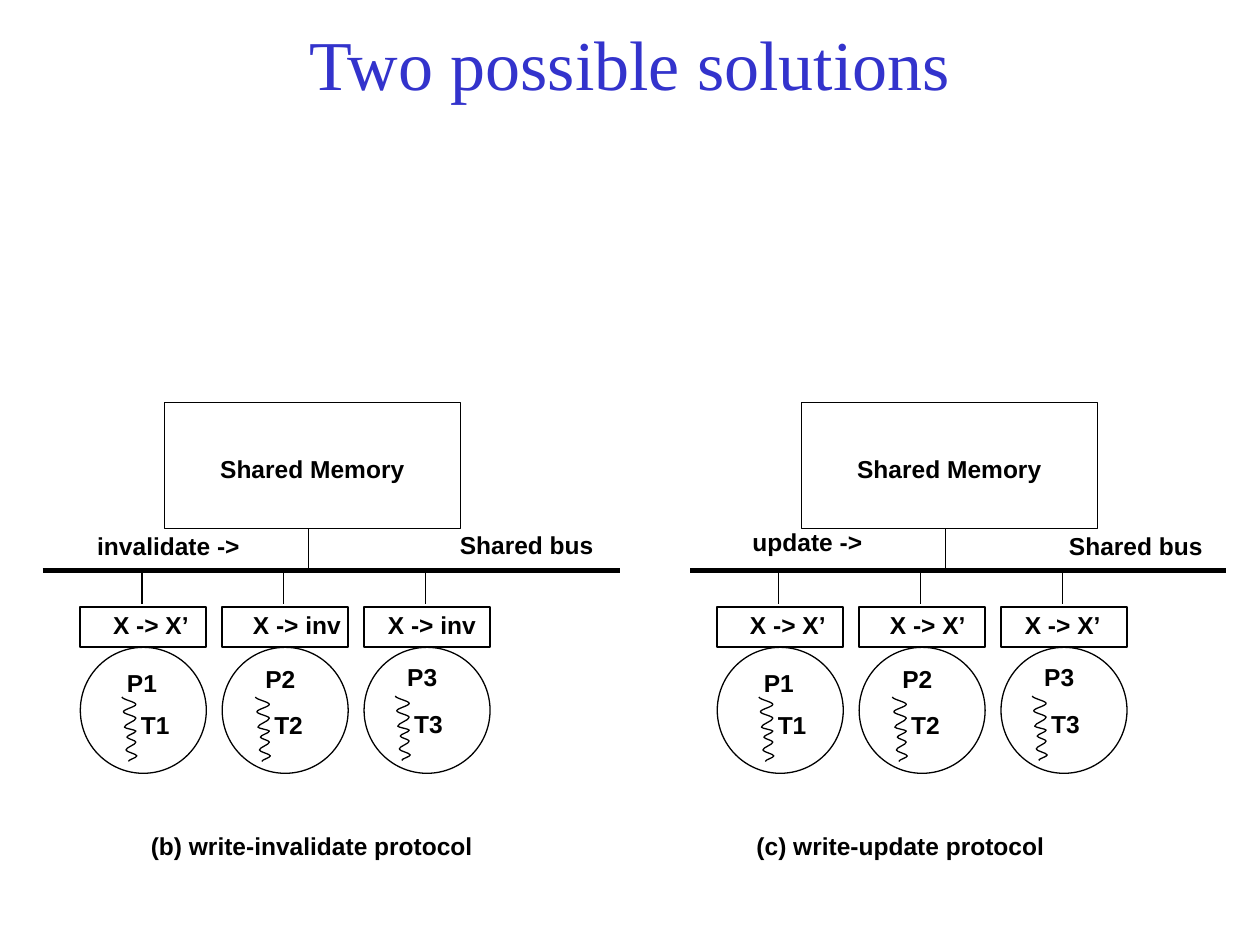
import pptx
import pptx.util
import pptx.dml.color
import pptx.enum.shapes
import pptx.enum.text
import pptx.oxml.ns
import lxml.etree

Cm, Pt = pptx.util.Cm, pptx.util.Pt
qn = pptx.oxml.ns.qn
SHAPE = pptx.enum.shapes.MSO_SHAPE
BLACK, TITLE_BLUE = "000000", "3333CC"
LABEL = {"name": "Arial", "size": Pt(14), "bold": True}
TITLE = {"name": "Times New Roman", "size": Pt(40), "bold": False}

CACHE_W, CACHE_H, PITCH = 2.54, 0.81, 2.86
BUS_Y = 3.39
# Turning points of a thread, as offsets from its start.
THREAD = [(0, 0), (0.28, 0.15), (0.03, 0.3), (0.28, 0.43), (0.05, 0.61), (0.28, 0.69),
          (0.1, 0.81), (0.28, 0.91), (0.08, 1.07), (0.3, 1.19), (0.13, 1.3)]

# Offsets of the labels inside each processor: cache x, name x and y, thread label x and y.
PROCESSORS = [
    (0.41, 0.69, 5.23, 0.97, 6.07),
    (0.37, 0.62, 5.16, 0.8, 6.07),
    (0.23, 0.62, 5.11, 0.76, 6.05),
]

# Labels are (text, x, y, width); caches are (text, width); bus is (x, width).
PANELS = [
    {"left": 1.62, "top": 8.11, "bus": (-0.76, 11.63),
     "caches": [("X -> X’", 2.18), ("X -> inv", 2.57), ("X -> inv", 2.84)],
     "labels": [("Shared bus", 7.4, 2.44, 3.48), ("invalidate ->", 0.09, 2.47, 3.66),
                ("(b) write-invalidate protocol", 1.17, 8.51, 7.26)]},
    {"left": 14.46, "top": 8.11, "bus": (-0.55, 10.8),
     "caches": [("X -> X’", 2.18), ("X -> X’", 2.31), ("X -> X’", 2.59)],
     "labels": [("Shared bus", 6.84, 2.47, 3.48), ("update ->", 0.46, 2.39, 2.84),
                ("(c) write-update protocol", 0.54, 8.51, 6.58)]},
]


def rgb(value):
    return pptx.dml.color.RGBColor.from_string(value)


def set_outline(sp, weight):
    sp.line.color.rgb = rgb(BLACK)
    sp.line.width = Pt(weight)


def make_hollow(sp, weight):
    sp.shadow.inherit = False
    sp.fill.background()
    set_outline(sp, weight)


def add_outline_shape(s, kind, x, y, w, h, weight=0.75):
    make_hollow(s.shapes.add_shape(kind, Cm(x), Cm(y), Cm(w), Cm(h)), weight)


def add_line(s, x1, y1, x2, y2, weight=0.75):
    line = s.shapes.add_connector(pptx.enum.shapes.MSO_CONNECTOR.STRAIGHT,
                                  Cm(x1), Cm(y1), Cm(x2), Cm(y2))
    set_outline(line, weight)
    lxml.etree.SubElement(line._element.spPr, qn("a:effectLst"))


def add_text(s, text, x, y, w, h=0.85, style=LABEL, color=BLACK):
    tf = s.shapes.add_textbox(Cm(x), Cm(y), Cm(w), Cm(h)).text_frame
    tf.word_wrap = False
    r = tf.paragraphs[0].add_run()
    r.text = text
    for name, value in style.items():
        setattr(r.font, name, value)
    r.font.color.rgb = rgb(color)
    return tf


def bend_segments(sp):
    """Turn the straight segments of a freeform into curves with upright tangents."""
    segments = list(sp._element.iter(qn("a:lnTo")))
    points = [(int(pt.get("x")), int(pt.get("y"))) for pt in sp._element.iter(qn("a:pt"))]
    for segment, (x1, y1), (x2, y2) in zip(segments, points, points[1:]):
        third = (y2 - y1) // 3
        segment.tag = qn("a:cubicBezTo")
        for i, (x, y) in enumerate([(x1, y1 + third), (x2, y2 - third)]):
            pt = segment.makeelement(qn("a:pt"), {"x": str(x), "y": str(y)})
            segment.insert(i, pt)


def add_thread(s, x, y):
    points = [(Cm(x + dx), Cm(y + dy)) for dx, dy in THREAD]
    builder = s.shapes.build_freeform(*points[0])
    builder.add_line_segments(points[1:], close=False)
    sp = builder.convert_to_shape()
    make_hollow(sp, 0.75)
    bend_segments(sp)


def add_processor(s, x, y, number, cache, offsets):
    """Draw a cache, its processor and thread; y is the top of the panel."""
    cache_text, cache_text_w = cache
    cache_x, name_x, name_y, thread_x, thread_y = offsets
    add_line(s, x + 1.24, y + BUS_Y, x + 1.24, y + 4.06)
    add_outline_shape(s, SHAPE.RECTANGLE, x, y + 4.13, CACHE_W, CACHE_H, 1)
    add_text(s, cache_text, x + cache_x, y + 4.06, cache_text_w)
    add_outline_shape(s, SHAPE.OVAL, x, y + 4.94, CACHE_W, CACHE_W)
    add_text(s, f"P{number}", x + name_x, y + name_y, 1.52)
    add_thread(s, x + thread_x - 0.13, y + thread_y - 0.13)
    add_text(s, f"T{number}", x + thread_x, y + thread_y, 1.22)


def add_panel(s, left, top, bus, caches, labels):
    add_outline_shape(s, SHAPE.RECTANGLE, left + 1.7, top, 5.97, 2.54)
    add_text(s, "Shared Memory", left + 2.57, top + 0.91, 4.5)
    add_line(s, left + 4.6, top + 2.54, left + 4.6, top + 3.35)
    bus_x, bus_w = bus
    add_line(s, left + bus_x, top + BUS_Y, left + bus_x + bus_w, top + BUS_Y, 3)
    for i, (cache, offsets) in enumerate(zip(caches, PROCESSORS)):
        add_processor(s, left + i * PITCH, top, i + 1, cache, offsets)
    for text, x, y, w in labels:
        add_text(s, text, left + x, top + y, w)


def add_title(s, text, x, y, w, h):
    tf = add_text(s, text, x, y, w, h, TITLE, TITLE_BLUE)
    tf.word_wrap = True
    tf.vertical_anchor = pptx.enum.text.MSO_ANCHOR.MIDDLE
    tf.paragraphs[0].alignment = pptx.enum.text.PP_ALIGN.CENTER


def main():
    prs = pptx.Presentation()
    prs.slide_width, prs.slide_height = Cm(25.4), Cm(19.05)
    s = prs.slides.add_slide(prs.slide_layouts[6])
    for panel in PANELS:
        add_panel(s, **panel)
    add_title(s, "Two possible solutions", 1.9, 0.42, 21.6, 1.7)
    prs.save("out.pptx")


if __name__ == "__main__":
    main()
